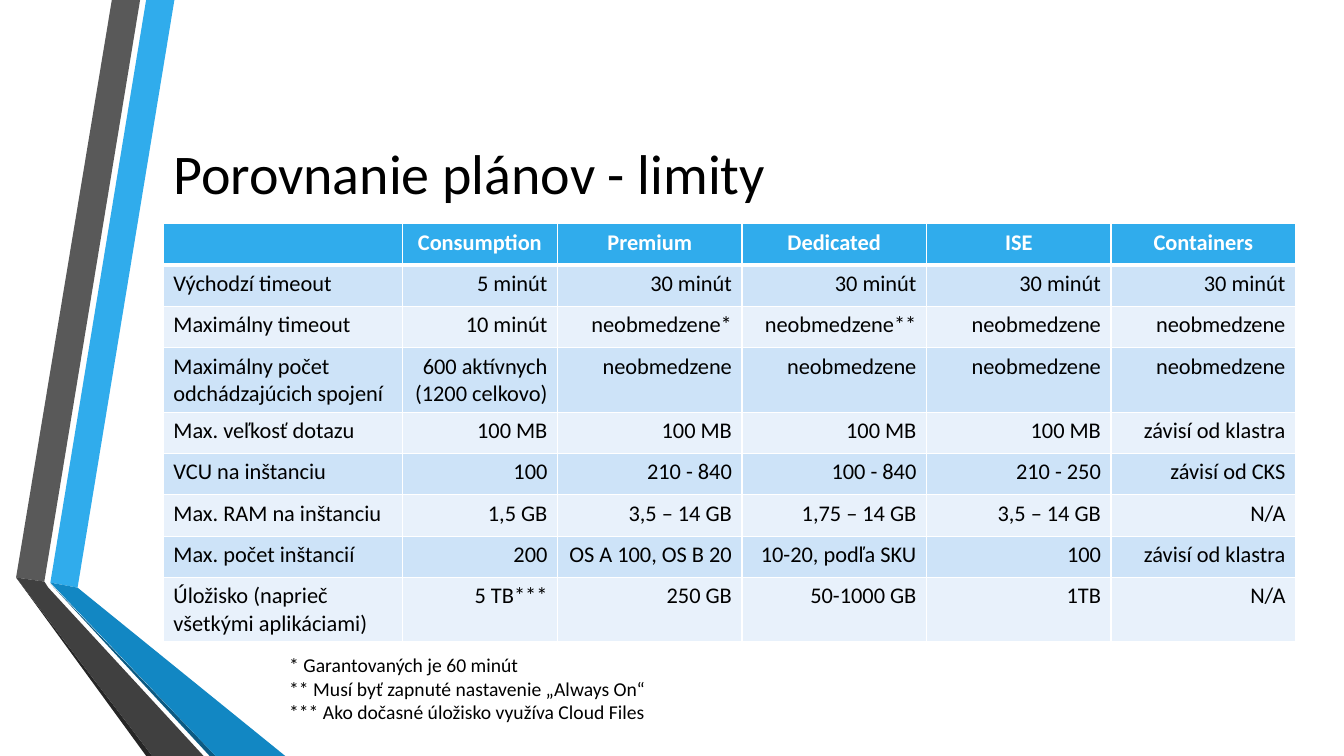
from lxml.etree import SubElement
from pptx import Presentation
from pptx.dml.color import RGBColor
from pptx.enum.text import MSO_ANCHOR, PP_ALIGN
from pptx.oxml.ns import qn
from pptx.util import Inches, Pt

FONT = "Calibri"
BLACK, WHITE, BLUE = "000000", "FFFFFF", "30ACEC"
BAND_FILLS = ("CDE3F8", "E8F1FB")

# Side ribbons: fill and corner points in inches
RIBBONS = [
    (BLUE, [(0.5, 5.78), (0.77, 5.83), (1.73, 0), (1.45, 0)]),
    ("595959", [(1.39, 0), (1.11, 0), (0.16, 5.73), (0.44, 5.77)]),
    ("262626", [(0.16, 5.73), (1.45, 7.5), (1.51, 7.5)]),
    ("0C5A82", [(0.5, 5.79), (2.08, 7.5), (2.14, 7.5)]),
    ("1287C3", [(0.5, 5.78), (2.14, 7.5), (2.83, 7.5), (0.77, 5.83)]),
    ("404040", [(2.02, 7.5), (0.48, 5.83), (0.44, 5.77), (0.16, 5.73), (1.51, 7.5)]),
]

COLUMN_WIDTHS = [2.37, 1.54] + [1.83] * 4
ROW_HEIGHT, TALL_ROW_HEIGHT = 0.41, 0.64
TALL_ROWS = (3, 8)
PLAN_LIMITS = [
    ["", "Consumption", "Premium", "Dedicated", "ISE", "Containers"],
    ["Východzí timeout", "5 minút"] + ["30 minút"] * 4,
    ["Maximálny timeout", "10 minút", "neobmedzene*", "neobmedzene**",
     "neobmedzene", "neobmedzene"],
    ["Maximálny počet odchádzajúcich spojení", "600 aktívnych\v(1200 celkovo)"]
    + ["neobmedzene"] * 4,
    ["Max. veľkosť dotazu"] + ["100 MB"] * 4 + ["závisí od klastra"],
    ["VCU na inštanciu", "100", "210 - 840", "100 - 840", "210 - 250", "závisí od CKS"],
    ["Max. RAM na inštanciu", "1,5 GB", "3,5 – 14 GB", "1,75 – 14 GB",
     "3,5 – 14 GB", "N/A"],
    ["Max. počet inštancií", "200", "OS A 100, OS B 20", "10-20, podľa SKU",
     "100", "závisí od klastra"],
    ["Úložisko (naprieč všetkými aplikáciami)", "5 TB***", "250 GB",
     "50-1000 GB", "1TB", "N/A"],
]

FOOTNOTES = [
    "* Garantovaných je 60 minút",
    "** Musí byť zapnuté nastavenie „Always On“",
    "*** Ako dočasné úložisko využíva Cloud Files",
]


def color(hex_value):
    return RGBColor.from_string(hex_value)


def write_paragraph(paragraph, text, size, fill=BLACK, bold=False, align=PP_ALIGN.LEFT):
    paragraph.text = text
    paragraph.alignment = align
    for run in paragraph.runs:
        run.font.name = FONT
        run.font.size = Pt(size)
        run.font.bold = bold
        run.font.color.rgb = color(fill)


def add_text(slide, lines, left, top, width, height, size, anchor=MSO_ANCHOR.TOP):
    box = slide.shapes.add_textbox(Inches(left), Inches(top), Inches(width), Inches(height))
    frame = box.text_frame
    frame.word_wrap = True
    frame.vertical_anchor = anchor
    for index, line in enumerate(lines):
        paragraph = frame.add_paragraph() if index else frame.paragraphs[0]
        write_paragraph(paragraph, line, size)


def add_ribbon(slide, fill, points):
    corners = [(Inches(x), Inches(y)) for x, y in points]
    builder = slide.shapes.build_freeform(*corners[0])
    builder.add_line_segments(corners[1:], close=True)
    shape = builder.convert_to_shape()
    shape.shadow.inherit = False
    shape.fill.solid()
    shape.fill.fore_color.rgb = color(fill)
    shape.line.fill.background()


def set_borders(cell, top=1, bottom=1):
    properties = cell._tc.get_or_add_tcPr()
    for side, points in (("L", 1), ("R", 1), ("T", top), ("B", bottom)):
        line = SubElement(properties, qn(f"a:ln{side}"), w=str(Pt(points)))
        SubElement(SubElement(line, qn("a:solidFill")), qn("a:srgbClr"), val=WHITE)


def fill_cell(cell, text, row, column):
    is_header = row == 0
    # The line under the header is thicker
    set_borders(cell, top=3 if row == 1 else 1, bottom=3 if is_header else 1)
    cell.fill.solid()
    cell.fill.fore_color.rgb = color(BLUE if is_header else BAND_FILLS[(row - 1) % 2])
    if is_header:
        align = PP_ALIGN.CENTER
    else:
        align = PP_ALIGN.RIGHT if column else PP_ALIGN.LEFT
    write_paragraph(cell.text_frame.paragraphs[0], text, 16,
                    fill=WHITE if is_header else BLACK, bold=is_header, align=align)


def add_limits_table(slide, left, top):
    heights = [TALL_ROW_HEIGHT if row in TALL_ROWS else ROW_HEIGHT
               for row in range(len(PLAN_LIMITS))]
    table = slide.shapes.add_table(
        len(heights), len(COLUMN_WIDTHS), Inches(left), Inches(top),
        Inches(sum(COLUMN_WIDTHS)), Inches(sum(heights))).table
    for column, width in zip(table.columns, COLUMN_WIDTHS):
        column.width = Inches(width)
    for row, (height, values) in enumerate(zip(heights, PLAN_LIMITS)):
        table.rows[row].height = Inches(height)
        for column, text in enumerate(values):
            fill_cell(table.cell(row, column), text, row, column)


def main():
    presentation = Presentation()
    presentation.slide_width = Inches(13.33)
    presentation.slide_height = Inches(7.5)
    slide = presentation.slides.add_slide(presentation.slide_layouts[6])

    # Side decoration
    for fill, points in RIBBONS:
        add_ribbon(slide, fill, points)

    # Title, table and footnotes
    add_text(slide, ["Porovnanie plánov - limity"], 1.62, 0.75, 10.96, 1.92, 40,
             anchor=MSO_ANCHOR.MIDDLE)
    add_limits_table(slide, 1.62, 2.22)
    add_text(slide, FOOTNOTES, 2.77, 6.43, 10.06, 0.81, 14)

    presentation.save("out.pptx")


main()
